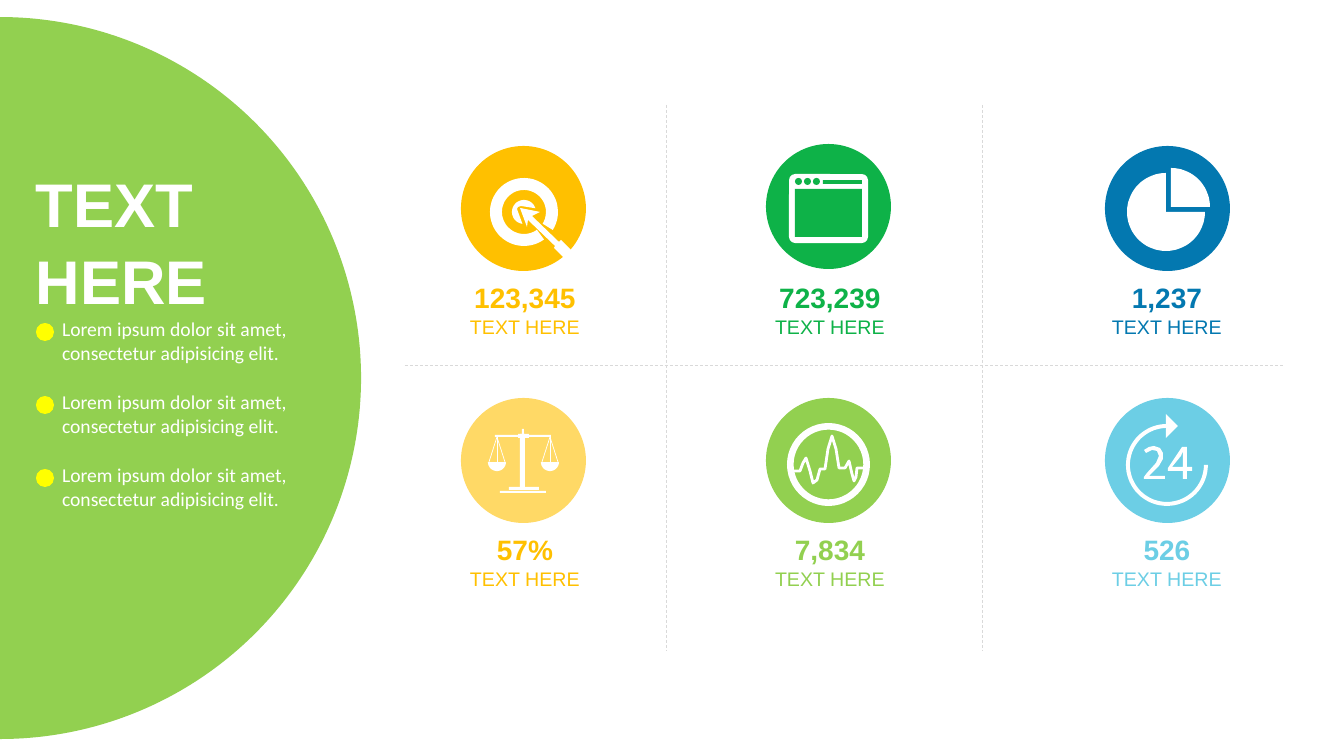
import math
from lxml import etree
from pptx import Presentation
from pptx.dml.color import RGBColor
from pptx.enum.dml import MSO_LINE
from pptx.enum.shapes import MSO_CONNECTOR, MSO_SHAPE
from pptx.enum.text import PP_ALIGN
from pptx.oxml.ns import qn
from pptx.util import Emu, Pt

EMU_PER_PX = 914400 / 100.8
FINE = 10
STRAIGHT = MSO_CONNECTOR.STRAIGHT
DASH = MSO_LINE.DASH
OVAL, RECT, ROUNDED = MSO_SHAPE.OVAL, MSO_SHAPE.RECTANGLE, MSO_SHAPE.ROUNDED_RECTANGLE
PIE, DONUT = MSO_SHAPE.PIE, MSO_SHAPE.DONUT
LEFT, CENTER, JUSTIFY = PP_ALIGN.LEFT, PP_ALIGN.CENTER, PP_ALIGN.JUSTIFY

WHITE, GRAY, YELLOW = "FFFFFF", "D9D9D9", "FFFF00"
LIME, GREEN, BLUE = "92D050", "0EB248", "0378B0"
ORANGE, SAND, SKY = "FFC000", "FFD966", "6CCEE5"


def px(value):
    return Emu(round(value * EMU_PER_PX))


def rgb(code):
    return RGBColor.from_string(code)


def arc(x, y, radius, start, end):
    steps = max(2, abs(end - start) // 5)
    angles = [math.radians(start + (end - start) * i / steps) for i in range(steps + 1)]
    return [(x + radius * math.cos(a), y + radius * math.sin(a)) for a in angles]


def band(x, y, outer, inner, start, end):
    return arc(x, y, outer, start, end) + arc(x, y, inner, end, start)


class Page:
    """Draws styled elements on one slide, measured in px."""

    styles = {
        "title": {"name": "Arial", "size": Pt(44), "bold": True},
        "number": {"name": "Arial", "size": Pt(20), "bold": True},
        "label": {"name": "Arial", "size": Pt(14)},
        "body": {"name": "Calibri", "size": Pt(14)},
    }

    def __init__(self, deck):
        self.shapes = deck.slides.add_slide(deck.slide_layouts[6]).shapes

    def paint(self, shape, color):
        shape.shadow.inherit = False
        shape.fill.solid()
        shape.fill.fore_color.rgb = rgb(color)
        shape.line.fill.background()

    def shape(self, kind, left, top, width, height, color, adjustments=()):
        shape = self.shapes.add_shape(kind, px(left), px(top), px(width), px(height))
        self.paint(shape, color)
        for index, value in enumerate(adjustments):
            shape.adjustments[index] = value
        return shape

    def outline(self, contours, closed=True):
        fine = [[(x * FINE, y * FINE) for x, y in contour] for contour in contours]
        builder = self.shapes.build_freeform(*fine[0][0], scale=EMU_PER_PX / FINE)
        for index, contour in enumerate(fine):
            if index:
                builder.move_to(*contour[0])
            builder.add_line_segments(contour[1:], close=closed)
        shape = builder.convert_to_shape()
        self.paint(shape, WHITE)
        return shape

    def stroke(self, points, width):
        shape = self.outline([points], closed=False)
        shape.fill.background()
        shape.line.color.rgb = rgb(WHITE)
        shape.line.width = Pt(width)

    def line(self, start, end, color, dash=None):
        line = self.shapes.add_connector(STRAIGHT, *map(px, start + end))
        formats = {"width": Pt(0.5), "dash_style": dash}
        for name, value in formats.items():
            setattr(line.line, name, value)
        line.line.color.rgb = rgb(color)
        etree.SubElement(line._element.spPr, qn("a:effectLst"))

    def text(self, left, top, width, height, lines, style, color, align, formats=None, frame=None):
        box = self.shapes.add_textbox(px(left), px(top), px(width), px(height)).text_frame
        for name, value in {"word_wrap": True, **(frame or {})}.items():
            setattr(box, name, value)
        for index, words in enumerate(lines):
            para = box.add_paragraph() if index else box.paragraphs[0]
            for name, value in {"alignment": align, **(formats or {})}.items():
                setattr(para, name, value)
            span = para.add_run()
            span.text = words
            for name, value in self.styles[style].items():
                setattr(span.font, name, value)
            span.font.color.rgb = rgb(color)


def draw_target(page):
    page.outline([band(524, 212, 34, 22, 54, 392)])
    page.outline([arc(524, 212, 12, 97, 342) + [(521, 206), (518, 207), (517, 209)]])
    page.outline([[(561, 240), (559, 242), (532, 216), (540, 212), (520, 208), (527, 227),
                   (528, 220), (555, 246), (554, 248), (566, 260), (568, 254), (574, 253)]])


def draw_window(page):
    page.shape(ROUNDED, 789, 174, 79, 69, WHITE, [0.09])
    page.shape(RECT, 795, 189, 67, 48, GREEN)
    page.shape(RECT, 823, 180, 39, 4, GREEN)
    for column in range(3):
        page.shape(OVAL, 795 + 9 * column, 178, 7, 7, GREEN)


def draw_pie(page):
    page.outline([arc(1166, 212, 39, 0, 270) + [(1166, 212)]])
    page.outline([arc(1171, 207, 39, 270, 360) + [(1171, 207)]])


def draw_scales(page):
    bars = [(520, 434, 5, 54), (509, 487, 30, 3), (500, 491, 46, 2),
            (495, 435, 56, 2), (518, 434, 11, 4), (522, 429, 2, 6)]
    for bar in bars:
        page.shape(RECT, *bar, WHITE)
    for x in (497, 550):
        page.outline([arc(x, 462, 9, 0, 180)])
        for offset in (-8, 0, 8):
            page.line((x, 437), (x + offset, 462), WHITE)


def draw_pulse(page):
    page.shape(DONUT, 787, 423, 83, 83, WHITE, [0.08])
    page.stroke([(794, 471), (800, 471), (803, 463), (806, 458), (810, 471), (813, 483),
                 (817, 480), (820, 469), (825, 469), (828, 449), (832, 436), (836, 449),
                 (839, 468), (845, 468), (849, 461), (852, 474), (854, 481), (856, 477),
                 (857, 468), (863, 468)], 2)


def draw_clock(page):
    page.outline([band(1167, 465, 41, 37, 0, 270)])
    page.outline([[(1166, 414), (1178, 426), (1166, 438)]])
    page.outline([[(1147, 473), (1144, 477), (1144, 479), (1165, 479), (1165, 476),
                   (1149, 476), (1152, 473), (1159, 466), (1163, 459), (1163, 453),
                   (1160, 448), (1154, 446), (1149, 447), (1144, 450), (1146, 453),
                   (1152, 450), (1157, 451), (1159, 456), (1156, 463)]])
    page.outline([[(1168, 471), (1183, 471), (1183, 479), (1187, 479), (1187, 471),
                   (1192, 471), (1192, 467), (1187, 467), (1187, 447), (1182, 447), (1168, 468)],
                  [(1172, 467), (1181, 456), (1183, 451), (1183, 467)]])


METRICS = [
    (0, 0, 146, ORANGE, ORANGE, "123,345", draw_target),
    (1, 0, 144, GREEN, GREEN, "723,239", draw_window),
    (2, 0, 146, BLUE, BLUE, "1,237", draw_pie),
    (0, 1, 398, SAND, ORANGE, "57%", draw_scales),
    (1, 1, 398, LIME, LIME, "7,834", draw_pulse),
    (2, 1, 398, SKY, SKY, "526", draw_clock),
]
CIRCLE_LEFTS, LABEL_LEFTS = (461, 766, 1105), (439, 744, 1081)


def main():
    deck = Presentation()
    deck.slide_width, deck.slide_height = px(1344), px(756)
    page = Page(deck)

    page.shape(PIE, -361, 17, 722, 722, LIME, [54, 162]).rotation = 180
    page.line((405, 365), (1284, 365), GRAY, DASH)
    for x in (666, 982):
        page.line((x, 105), (x, 651), GRAY, DASH)
    page.text(26, 157, 294, 159, ["TEXT", "HERE"], "title", WHITE, LEFT, {"line_spacing": 1.05})

    for column, row, top, circle_color, text_color, number, draw_icon in METRICS:
        page.shape(OVAL, CIRCLE_LEFTS[column], top, 125, 125, circle_color)
        draw_icon(page)
        left, drop = LABEL_LEFTS[column], 252 * row
        page.text(left, 276 + drop, 172, 44, [number], "number", text_color, CENTER)
        page.text(left, 310 + drop, 172, 34, ["TEXT HERE"], "label", text_color, CENTER)

    margins = {"margin_left": px(8), "margin_right": px(8), "margin_top": px(4), "margin_bottom": px(4)}
    for row in range(3):
        page.text(54, 313 + 73 * row, 241, 54,
                  ["Lorem ipsum dolor sit amet, consectetur adipisicing elit."],
                  "body", WHITE, JUSTIFY, {"space_after": Pt(6)}, margins)
        page.shape(OVAL, 36, 323 + 73 * row, 18, 18, YELLOW)

    deck.save("out.pptx")


if __name__ == "__main__":
    main()
